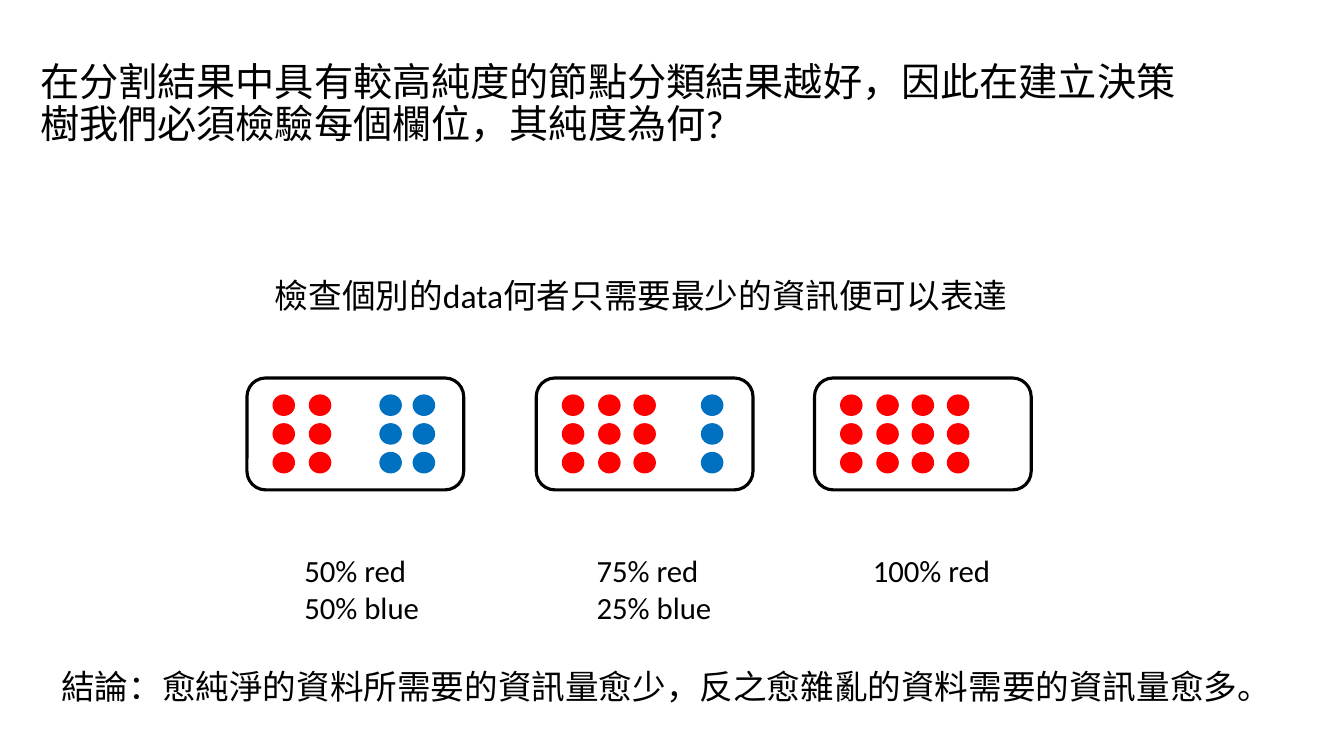
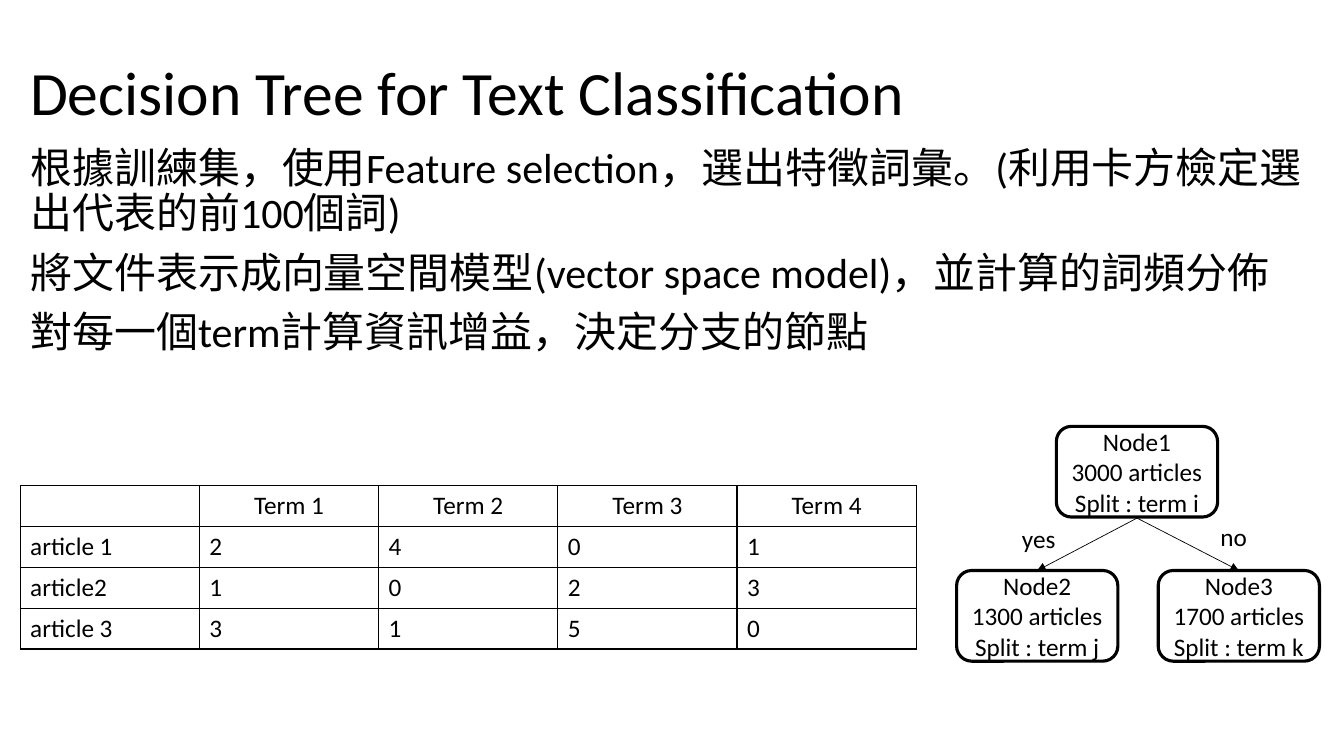
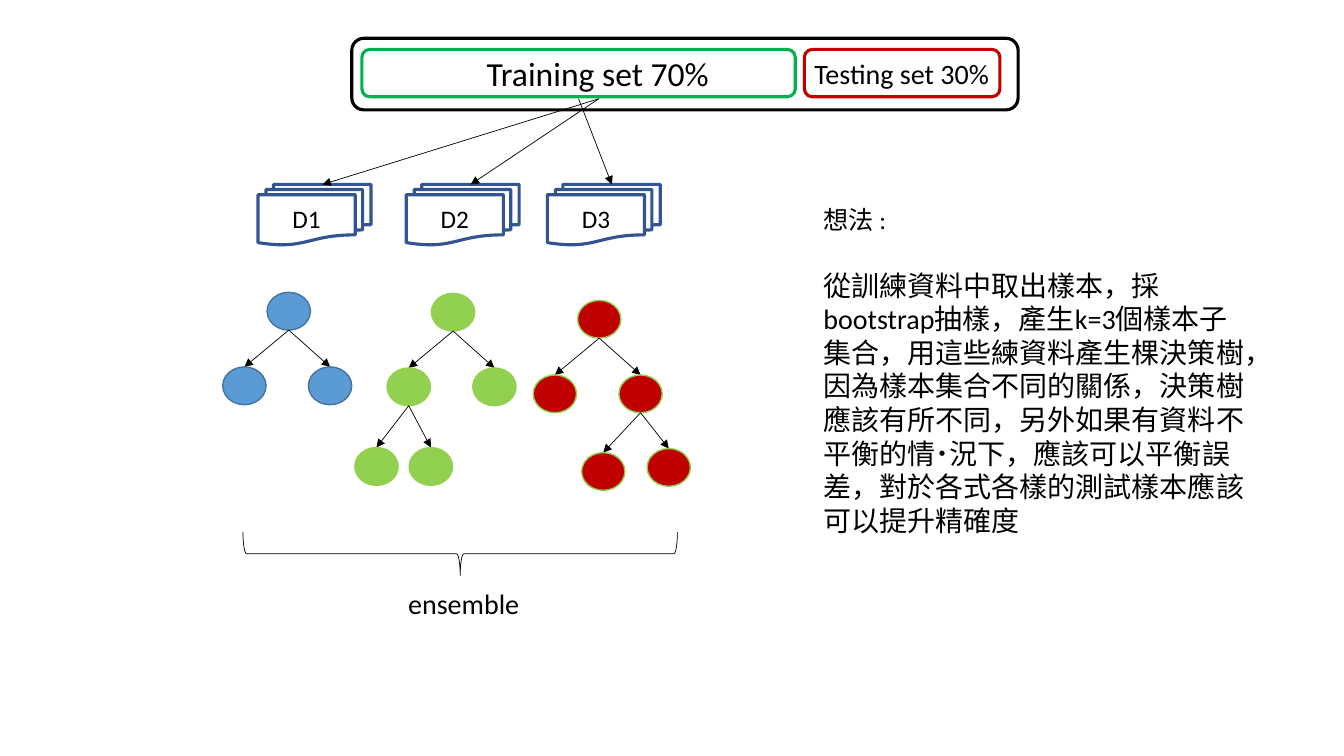
from lxml import etree
from pptx import Presentation
from pptx.dml.color import RGBColor
from pptx.enum.shapes import MSO_CONNECTOR as Link, MSO_SHAPE as Kind
from pptx.enum.text import MSO_ANCHOR as Anchor, MSO_AUTO_SIZE as Fit, PP_ALIGN as Align
from pptx.oxml.ns import qn
from pptx.util import Inches, Pt

FONT = "Calibri"
BLACK, WHITE = "000000", "FFFFFF"
RED, BLUE, CRIMSON = "FF0000", "0070C0", "C00000"
GREEN, LIME, SKY = "00B050", "92D050", "5B9BD5"
STEEL, NAVY = "43739E", "325491"
COLS, ROWS = 133.33, 75  # grid cells are a tenth of an inch
NODE_W, NODE_H = 4.3, 3.75


def grid(n):
    """Turn a number of grid cells into a length."""
    return Inches(n / 10)


def hue(code):
    return RGBColor.from_string(code)


class Deck:
    def __init__(self):
        self.prs = Presentation()
        self.prs.slide_width, self.prs.slide_height = grid(COLS), grid(ROWS)
        self.page = None

    def new(self):
        self.page = self.prs.slides.add_slide(self.prs.slide_layouts[6]).shapes

    def words(self, frame, lines, size, align=Align.LEFT, lead=None, gap=0):
        """Fill a text frame, one paragraph for each line."""
        for i, line in enumerate(lines):
            para = frame.paragraphs[0] if i == 0 else frame.add_paragraph()
            para.alignment = align
            if lead:
                para.line_spacing = lead
            if i and gap:
                para.space_before = Pt(gap)
            para.font.size = Pt(size)
            if line:
                run = para.add_run()
                run.text = line
                run.font.name, run.font.size = FONT, Pt(size)
                run.font.color.rgb = hue(BLACK)

    def text(self, x, y, w, h, lines, size, wrap=False):
        """Add a label that grows with its text."""
        frame = self.page.add_textbox(grid(x), grid(y), grid(w), grid(h)).text_frame
        frame.word_wrap, frame.auto_size = wrap, Fit.SHAPE_TO_FIT_TEXT
        self.words(frame, lines, size)

    def body(self, x, y, w, h, lines, size, anchor=Anchor.TOP):
        """Add a title or body block with tight lines."""
        frame = self.page.add_textbox(grid(x), grid(y), grid(w), grid(h)).text_frame
        frame.word_wrap, frame.vertical_anchor = True, anchor
        self.words(frame, lines, size, lead=0.9, gap=10)

    def shape(self, kind, x, y, w, h, fill=None, line=BLACK, width=2.25, lines=(), turn=0):
        item = self.page.add_shape(kind, grid(x), grid(y), grid(w), grid(h))
        item.shadow.inherit = False
        item.rotation = turn
        if fill:
            item.fill.solid()
            item.fill.fore_color.rgb = hue(fill)
        else:
            item.fill.background()
        item.line.color.rgb, item.line.width = hue(line), Pt(width)
        item.text_frame.vertical_anchor = Anchor.MIDDLE
        self.words(item.text_frame, lines, 18, Align.CENTER)

    def arrow(self, x1, y1, x2, y2):
        item = self.page.add_connector(Link.STRAIGHT, grid(x1), grid(y1), grid(x2), grid(y2))
        item.line.color.rgb, item.line.width = hue(BLACK), Pt(0.5)
        props = item.element.spPr
        etree.SubElement(props.find(qn("a:ln")), qn("a:tailEnd"), type="triangle")
        etree.SubElement(props, qn("a:effectLst"))

    def table(self, x, y, w, h, data):
        item = self.page.add_table(len(data), len(data[0]), grid(x), grid(y), grid(w), grid(h)).table
        item.first_row = item.horz_banding = False
        for r, row in enumerate(data):
            for c, word in enumerate(row):
                cell = item.cell(r, c)
                self.words(cell.text_frame, [word], 18, Align.LEFT if r else Align.CENTER)
                self.edge(cell)
                cell.fill.background()

    def edge(self, cell):
        """Draw a thin black border round a table cell."""
        props = cell._tc.get_or_add_tcPr()
        for side in ("lnL", "lnR", "lnT", "lnB"):
            line = etree.SubElement(props, qn("a:" + side), w=str(Pt(1)))
            fill = etree.SubElement(line, qn("a:solidFill"))
            etree.SubElement(fill, qn("a:srgbClr"), val=BLACK)

    def tree(self, x, y, kids, fill, line):
        """Draw a node and its kids, each given as (dx, dy, kids)."""
        self.shape(Kind.OVAL, x, y, NODE_W, NODE_H, fill, line, 1)
        mid = x + NODE_W / 2
        for dx, dy, more in kids:
            self.arrow(mid, y + NODE_H, mid + dx, y + dy)
            self.tree(x + dx, y + dy, more, fill, line)


def purity(deck):
    deck.new()
    deck.body(3, 5.7, 115, 11.9, ["在分割結果中具有較高純度的節點分類結果越好，因此在建立決策樹我們必須檢驗每個欄位，其純度為何?"], 28)
    groups = [
        (24.5, [(2.6, RED), (6.2, RED), (13.2, BLUE), (16.5, BLUE)]),
        (53.2, [(2.6, RED), (6.2, RED), (9.7, RED), (16.4, BLUE)]),
        (80.8, [(2.6, RED), (6.2, RED), (9.7, RED), (13.2, RED)]),
    ]
    top = 37.5
    for left, dots in groups:
        deck.shape(Kind.FLOWCHART_ALTERNATE_PROCESS, left, top, 21.5, 11.1, WHITE)
        for dx, tint in dots:
            for row in range(3):
                deck.shape(Kind.FLOWCHART_CONNECTOR, left + dx, top + 1.7 + 2.85 * row, 2.1, 2, tint, tint, 1)
    for x, w, lines in [
        (29.2, 16.9, ["50% red", "50% blue"]),
        (58.2, 13.5, ["75% red", "25% blue"]),
        (85.6, 13.8, ["100% red"]),
    ]:
        deck.text(x, 54.2, w, 8.4, lines, 22, True)
    deck.text(26.3, 26.8, 75.4, 5, ["檢查個別的data何者只需要最少的資訊便可以表達"], 24, True)
    deck.text(5.1, 65.6, 123.2, 5, ["結論：愈純淨的資料所需要的資訊量愈少，反之愈雜亂的資料需要的資訊量愈多。"], 24, True)


def terms(deck):
    deck.new()
    deck.body(2, 2.2, 115, 14.5, ["Decision Tree for Text Classification"], 44, Anchor.MIDDLE)
    deck.body(2, 14.1, 128.8, 25.9, [
        "根據訓練集，使用Feature selection，選出特徵詞彙。(利用卡方檢定選出代表的前100個詞)",
        "將文件表示成向量空間模型(vector space model)，並計算的詞頻分佈",
        "對每一個term計算資訊增益，決定分支的節點",
    ], 30)
    deck.table(2, 48.2, 88.9, 16.2, [
        ["", "Term 1", "Term 2", "Term 3", "Term 4"],
        ["article 1", "2", "4", "0", "1"],
        ["article2", "1", "0", "2", "3"],
        ["article 3", "3", "1", "5", "0"],
    ])
    for end in (102.9, 122.9):
        deck.arrow(112.8, 51.4, end, 56.6)
    for x, y, name, count, term in [
        (104.8, 42.3, "Node1", 3000, "i"),
        (94.9, 56.6, "Node2", 1300, "j"),
        (114.9, 56.6, "Node3", 1700, "k"),
    ]:
        deck.shape(Kind.ROUNDED_RECTANGLE, x, y, 16, 9,
                   lines=[name, f"{count} articles", f"Split : term {term}"])
    deck.text(100.4, 51.4, 5.4, 4, ["yes"], 18)
    deck.text(120.1, 51.2, 4.7, 4, ["no"], 18)


def forest(deck):
    deck.new()
    for x, y, w, h, fill, line in [
        (34.9, 3.8, 66.1, 7.1, WHITE, BLACK),
        (35.9, 4.9, 43, 4.7, None, GREEN),
        (79.8, 4.9, 19.4, 4.7, None, CRIMSON),
    ]:
        deck.shape(Kind.ROUNDED_RECTANGLE, x, y, w, h, fill, line)
    deck.text(47.3, 4.8, 24.3, 5, ["Training set 70%"], 24)
    deck.text(79.8, 5.1, 19.5, 4.4, ["Testing set 30%"], 20)

    for name, x, start in [("D1", 25.6, 59.4), ("D2", 40.3, 59.4), ("D3", 54.3, 57.4)]:
        deck.shape(Kind.FLOWCHART_MULTIDOCUMENT, x, 18.3, 11.2, 6, line=NAVY, lines=[name])
        deck.arrow(start, 9.8, x + 6.4, 18.3)

    left, right = (-4.4, 7.4), (4.1, 7.4)
    deck.tree(26.5, 29, [(*left, []), (*right, [])], SKY, STEEL)
    deck.tree(42.8, 29.1, [(*left, [(-3.2, 7.9, []), (2.2, 7.9, [])]), (*right, [])], LIME, LIME)
    deck.tree(57.3, 29.8, [(*left, []), (*right, [(-3.7, 7.7, []), (2.8, 7.3, [])])], CRIMSON, LIME)

    deck.shape(Kind.RIGHT_BRACE, 43.5, 33.4, 4.3, 43.1, width=0.5, turn=90)
    deck.text(39.5, 57.7, 13.2, 4.4, ["ensemble"], 20)
    deck.text(80.7, 19.8, 8.3, 4, ["想法 :"], 18)
    deck.text(80.7, 26.1, 43.8, 27.9, [
        "從訓練資料中取出樣本，採",
        "bootstrap抽樣，產生k=3個樣本子集合，用這些練資料產生棵決策樹，因為樣本集合不同的關係，"
        "決策樹應該有所不同，另外如果有資料不平衡的情˙況下，應該可以平衡誤差，"
        "對於各式各樣的測試樣本應該可以提升精確度",
    ], 20, True)


def main():
    deck = Deck()
    for draw in (purity, terms, forest):
        draw(deck)
    deck.prs.save("out.pptx")


if __name__ == "__main__":
    main()
